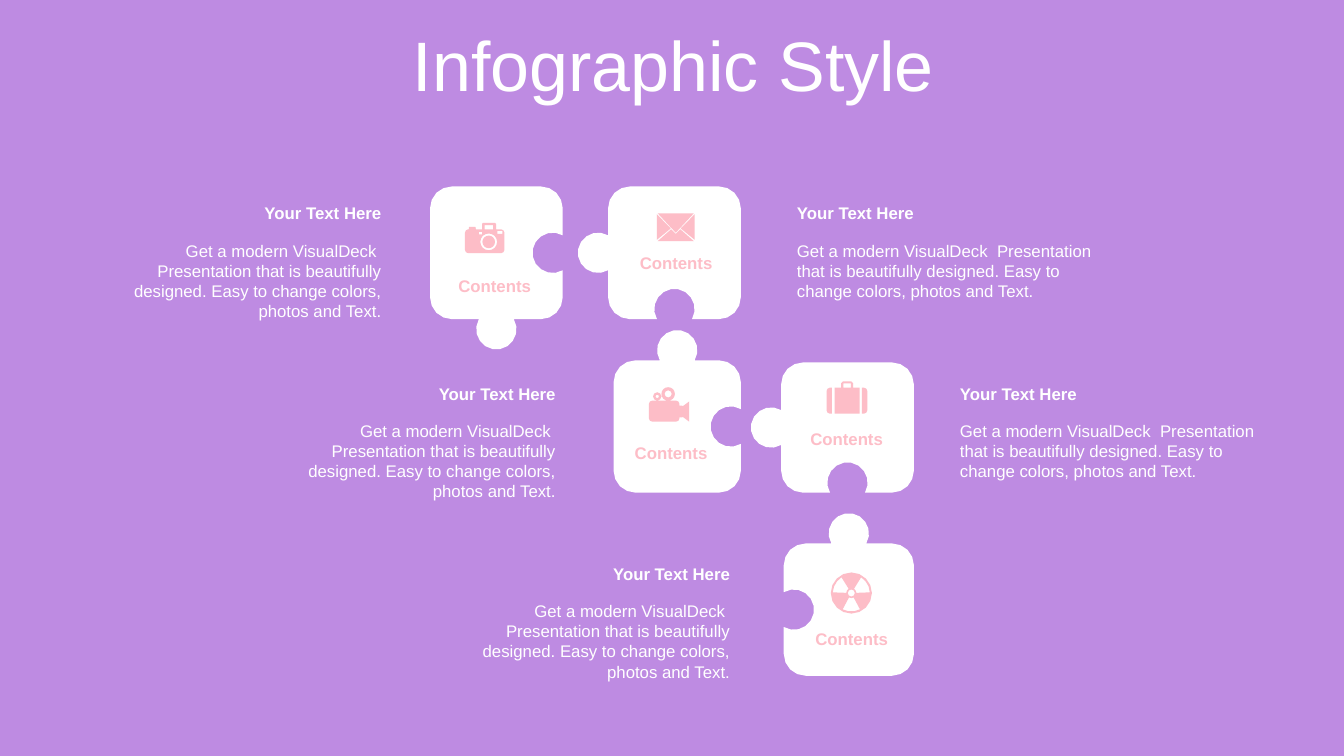
from math import asin, ceil, cos, degrees, radians, sin

from pptx import Presentation
from pptx import util as u
from pptx.dml import color
from pptx.enum import text

COLORS = {"bg": "BE8BE2", "white": "FFFFFF", "pink": "FDBDC7"}
COLS, ROWS = 160, 90  # square grid cells, twelve to the inch
CELL = u.Inches(1 / 12)
FINE = 100  # outline steps in one cell


# Outline helpers: each returns a list of points in grid cells
def arc(cx, cy, r, start, end):
    steps = ceil(abs(end - start) / (22.5 if r >= .7 else 45))
    angles = [radians(start + (end - start) * i / steps) for i in range(steps + 1)]
    return [(cx + r * cos(a), cy + r * sin(a)) for a in angles]


def circle(cx, cy, r):
    return arc(cx, cy, r, 0, 360)[:-1]


def box(l, t, r, b, radii=(0, 0, 0, 0), sides=None):
    """Clockwise box; radii run from top right, sides adds points to an edge."""
    sides = sides or {}
    corners = [(r, t, -1, 1), (r, b, -1, -1), (l, b, 1, -1), (l, t, 1, 1)]
    pts = []
    for i, (side, (x, y, dx, dy)) in enumerate(zip(("top", "right", "bottom", "left"), corners)):
        rad = radii[i]
        pts += sides.get(side, [])
        pts += arc(x + dx * rad, y + dy * rad, rad, 90 * i - 90, 90 * i) if rad else [(x, y)]
    return pts


def tab(w, h, side, sign, r=2.4, offset=1.2):
    """Knob (sign 1) or socket (sign -1) at the middle of a side."""
    x, y, dx, dy = {"top": (w / 2, 0, 1, 0), "right": (w, h / 2, 0, 1),
                    "bottom": (w / 2, h, -1, 0), "left": (0, h / 2, 0, -1)}[side]
    tilt = degrees(asin(offset / r))
    return [(x + dx * along + dy * sign * out, y + dy * along - dx * sign * out)
            for along, out in arc(0, offset, r, 180 + tilt, -tilt)]


# Icons, measured from their own top left corner
CAMERA = [
    box(0, .75, 4.7, 3.6, (.4,) * 4, {"top": [
        (.45, .75), (.5, .45), (1.25, .45), (1.3, .75), (2.05, .75), (2.05, .1),
        (2.15, 0), (3.6, 0), (3.7, .1), (3.7, .75)]}),
    box(2.35, .25, 3.35, .75), box(1.65, 1.05, 2.05, 1.35), box(3.85, .95, 4.45, 1.3),
    circle(2.83, 2.25, 1), circle(2.83, 2.25, .75)]
ENVELOPE = [
    [(.1, 0), (4.4, 0), (2.25, 2.3)],
    [(0, .1), (1.65, 1.8), (0, 3.15)],
    [(4.5, .1), (2.85, 1.8), (4.5, 3.15)],
    [(1.7, 1.9), (.1, 3.3), (4.4, 3.3), (2.8, 1.9), (2.25, 2.45)]]
MOVIE = [
    box(0, 1.6, 3.65, 4.1, (.4,) * 4, {"right": [
        (3.65, 2.2), (4, 2.2), (4, 2.3), (4.8, 1.7), (4.8, 4.1), (4, 3.5), (4, 3.6), (3.65, 3.6)]}),
    circle(2.3, .8, .8), circle(2.3, .8, .43), circle(1, 1.1, .5), circle(1, 1.1, .2)]
SUITCASE = [
    box(.95, .75, 3.95, 3.85, sides={"top": [
        (1.75, .75), (1.75, .2), (1.95, 0), (2.95, 0), (3.15, .2), (3.15, .75)]}),
    box(2, .25, 2.9, .75),
    box(0, .75, .65, 3.85, (0, 0, .4, .4)), box(4.2, .75, 4.85, 3.85, (.4, .4, 0, 0))]
RADIATION = [circle(2.45, 2.45, 2.45), circle(2.45, 2.45, .42)] + [
    arc(2.45, 2.45, 2.2, a, a + 56) + arc(2.45, 2.45, .6, a + 56, a) for a in (62, 182, 302)]


class Deck:
    """Style and current slide; all lengths are grid cells."""

    def __init__(self):
        self.prs = Presentation()
        self.prs.slide_width, self.prs.slide_height = COLS * CELL, ROWS * CELL
        self.s = self.prs.slides.add_slide(self.prs.slide_layouts[6])
        self.paint(self.s.background.fill, "bg")

    def paint(self, fill, name):
        fill.solid()
        fill.fore_color.rgb = color.RGBColor.from_string(COLORS[name])

    def outline(self, x, y, contours, fill):
        fb = None
        for pts in contours:
            (x0, y0), *rest = [(px * FINE, py * FINE) for px, py in pts]
            if fb is None:
                fb = self.s.shapes.build_freeform(x0, y0, scale=CELL / FINE)
            else:
                fb.move_to(x0, y0)
            fb.add_line_segments(rest, close=True)
        sp = fb.convert_to_shape(round(x * CELL), round(y * CELL))
        sp.shadow.inherit = False
        self.paint(sp.fill, fill)
        sp.line.fill.background()

    def piece(self, x, y, w, h, tabs):
        sides = {side: tab(w, h, side, sign) for side, sign in tabs.items()}
        self.outline(x, y, [box(0, 0, w, h, (2.6,) * 4, sides)], "white")

    def text(self, x, y, w, h, words, ink="white", font=None, para=None, frame=None):
        sp = self.s.shapes.add_textbox(*(round(v * CELL) for v in (x, y, w, h)))
        tf = sp.text_frame
        p = tf.paragraphs[0]
        r = p.add_run()
        r.text = words
        formats = [
            (tf, {"word_wrap": True, "auto_size": text.MSO_AUTO_SIZE.SHAPE_TO_FIT_TEXT, **(frame or {})}),
            (p, para or {}),
            (r.font, {"name": "Arial", "size": u.Pt(12), **(font or {})})]
        for target, values in formats:
            for key, value in values.items():
                setattr(target, key, value)
        self.paint(r.font.fill, ink)

    def caption(self, x, y, w, h, align):
        para = {"alignment": align}
        self.text(x, y, w, 3.6, "Your Text Here", font={"bold": True}, para=para)
        self.text(x, y + 4.44, w, h, "Get a modern VisualDeck  Presentation that is beautifully "
                  "designed. Easy to change colors, photos and Text.", para=para)


KNOB, SOCKET = 1, -1
# Body box, tabs, icon with its corner, corner of the label
PIECES = [
    ((51.2, 22.2, 15.8, 15.8), {"right": SOCKET, "bottom": KNOB}, CAMERA, (55.35, 26.55), (51.8, 32.2)),
    ((72.4, 22.2, 15.8, 15.8), {"left": KNOB, "bottom": SOCKET}, ENVELOPE, (78.2, 25.4), (73.4, 29.5)),
    ((73.05, 42.9, 15.15, 15.75), {"right": SOCKET, "top": KNOB}, MOVIE, (77.25, 46.1), (72.8, 52.1)),
    ((93, 43.15, 15.8, 15.5), {"left": KNOB, "bottom": SOCKET}, SUITCASE, (98.4, 45.4), (93.7, 50.5)),
    ((93.3, 64.7, 15.5, 15.75), {"left": SOCKET, "top": KNOB}, RADIATION, (98.9, 68.15), (94.3, 74.2)),
]


def main():
    d = Deck()
    align = text.PP_ALIGN

    # Title
    d.text(4.2, 3.7, 152, 9.5, "Infographic Style", font={"size": u.Pt(50)},
           para={"alignment": align.CENTER, "line_spacing": .8, "space_before": u.Pt(10)},
           frame={"auto_size": text.MSO_AUTO_SIZE.NONE, "vertical_anchor": text.MSO_ANCHOR.MIDDLE})

    # Puzzle pieces with icons and labels
    for body, tabs, icon, corner, label in PIECES:
        d.piece(*body, tabs)
        d.outline(*corner, icon, "pink")
        d.text(*label, 14.2, 3.6, "Contents", "pink", {"bold": True}, {"alignment": align.CENTER})

    # Captions stepping down on both sides
    for i in range(3):
        top = 23.6 + 21.45 * i
        d.caption(9.2 + 20.75 * i, top, 37.4, 10.9, align.RIGHT)
        if i < 2:
            d.caption(93.7 + 19.4 * i, top, 38.2, 8.5, align.LEFT)

    d.prs.save("out.pptx")


if __name__ == "__main__":
    main()
